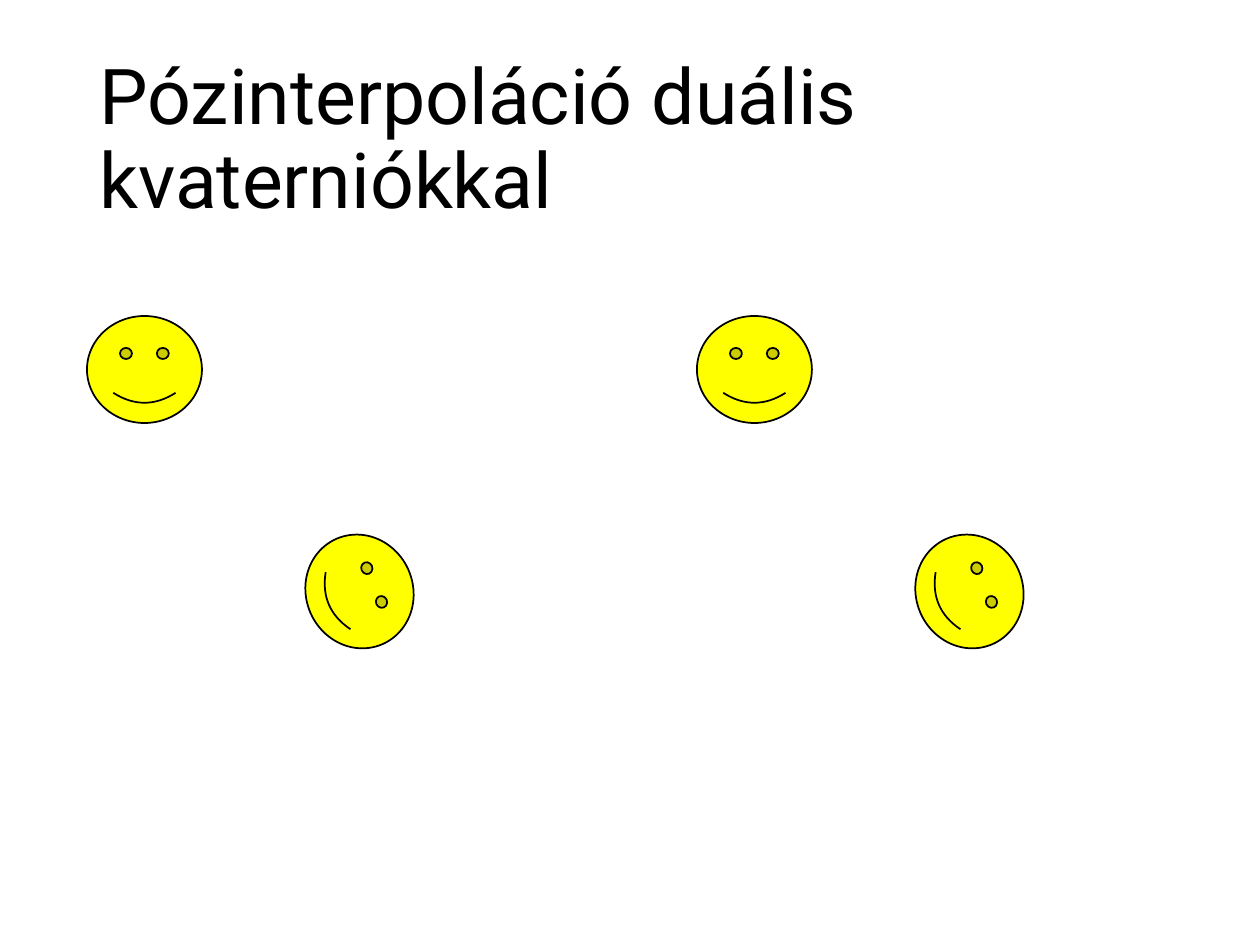
import dataclasses

import pptx
import pptx.dml.color
import pptx.enum.shapes
import pptx.enum.text
import pptx.util

PX = 914400 // 126
COLORS = {"face": "FFFF00", "ink": "000000", "background": "FFFFFF"}
FACE_W, FACE_H = 115, 107
PAIR_STEP = 610


@dataclasses.dataclass
class Pose:
    """Position and rotation of a face."""
    left: int
    top: int
    angle: float


def px(n: int) -> int:
    """Turn pixels into EMU."""
    return pptx.util.Emu(n * PX)


def rgb(name: str) -> pptx.dml.color.RGBColor:
    """Look up a named colour."""
    return pptx.dml.color.RGBColor.from_string(COLORS[name])


def add_title(s, text: str) -> None:
    """Add the slide title."""
    sp = s.shapes.add_textbox(px(87), px(50), px(1086), px(183))
    tf = sp.text_frame
    tf.word_wrap = True
    tf.vertical_anchor = pptx.enum.text.MSO_ANCHOR.MIDDLE
    tf.text = text
    p = tf.paragraphs[0]
    p.line_spacing = 0.9
    r = p.runs[0]
    r.font.name = "Roboto"
    r.font.size = pptx.util.Pt(44)
    r.font.color.rgb = rgb("ink")


def add_face(s, pose: Pose) -> None:
    """Draw a smiley in the given pose."""
    sp = s.shapes.add_shape(pptx.enum.shapes.MSO_SHAPE.SMILEY_FACE,
                            px(pose.left), px(pose.top), px(FACE_W), px(FACE_H))
    sp.rotation = pose.angle
    sp.shadow.inherit = False
    sp.fill.solid()
    sp.fill.fore_color.rgb = rgb("face")
    sp.line.color.rgb = rgb("ink")
    sp.line.width = pptx.util.Pt(1)


prs = pptx.Presentation()
prs.slide_width = pptx.util.Inches(10)
prs.slide_height = pptx.util.Inches(7.5)
s = prs.slides.add_slide(prs.slide_layouts[6])
s.background.fill.solid()
s.background.fill.fore_color.rgb = rgb("background")

add_title(s, "Pózinterpoláció duális kvaterniókkal")
START, END = Pose(87, 316, 0), Pose(302, 538, 66.5)
for shift in (0, PAIR_STEP):
    for pose in (START, END):
        add_face(s, dataclasses.replace(pose, left=pose.left + shift))

prs.save("out.pptx")
